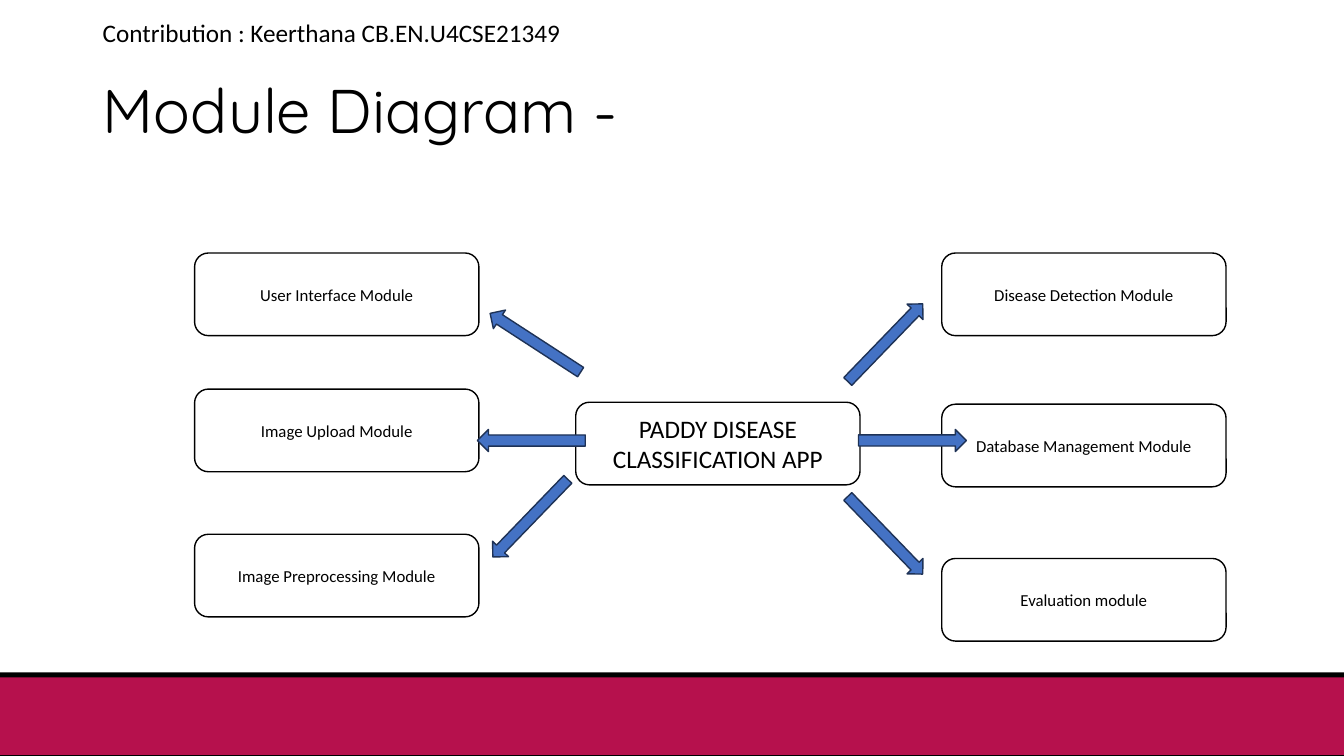
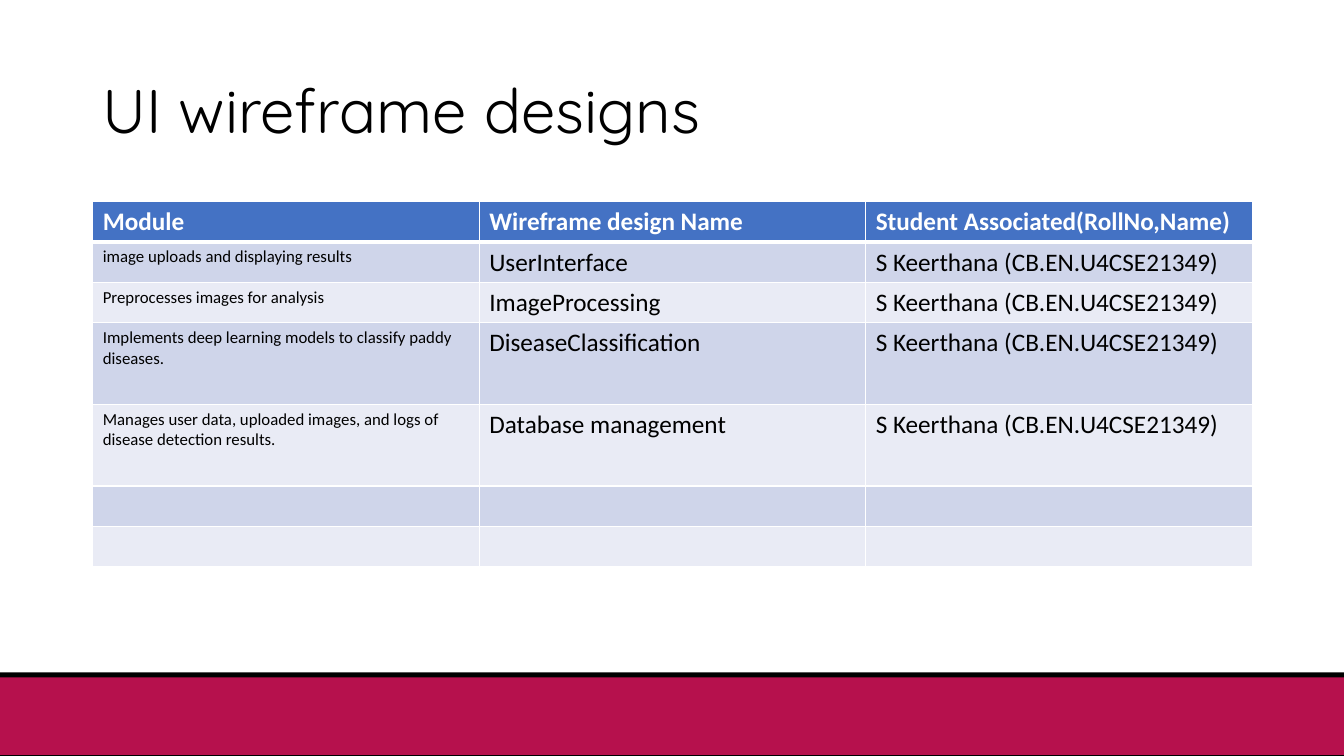
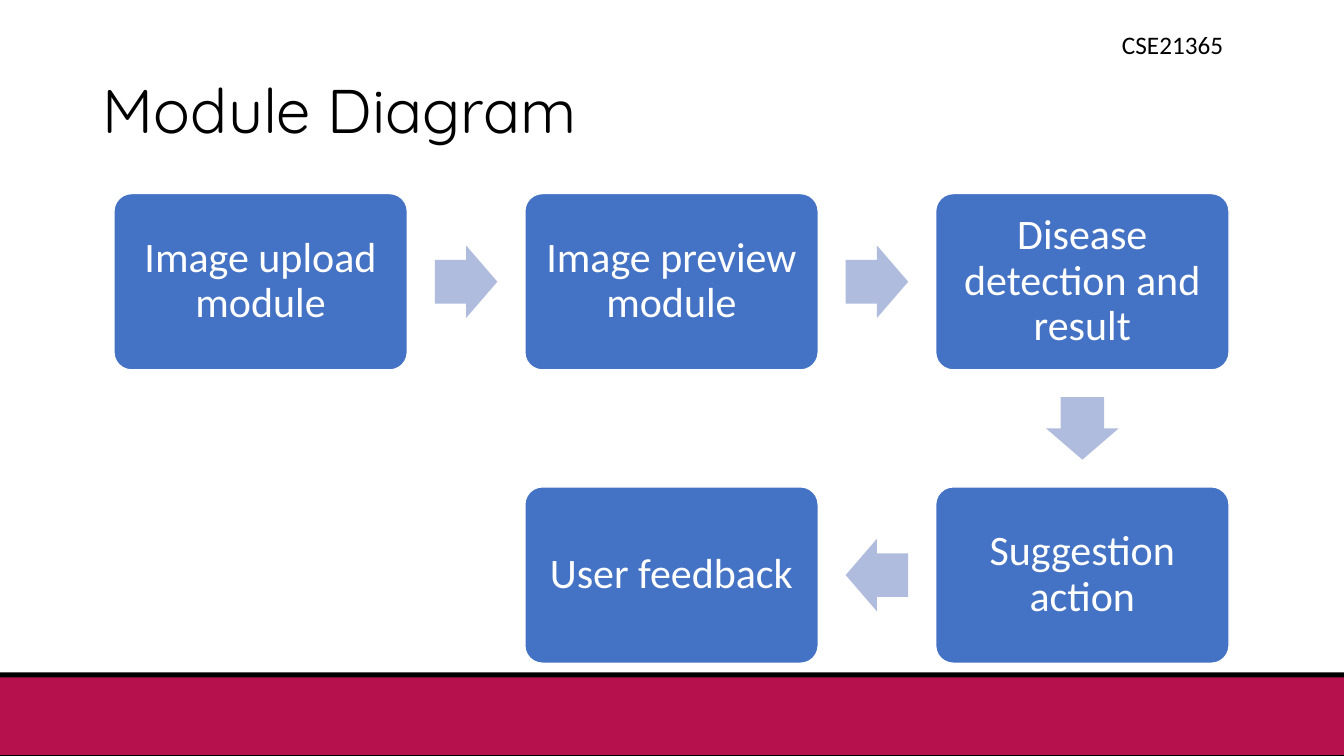
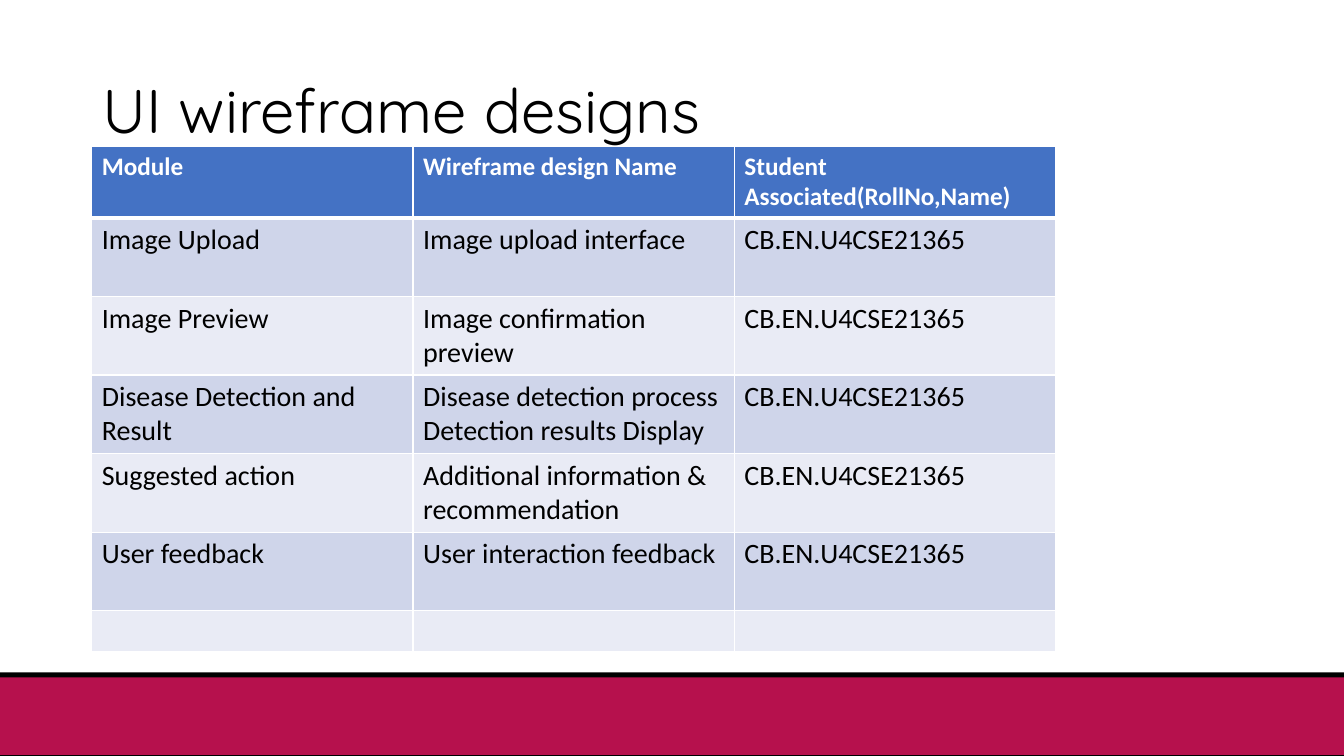
from collections import namedtuple

from lxml import etree
from pptx import Presentation
from pptx import util as u
from pptx.dml import color
from pptx.enum import shapes, text
from pptx.oxml import ns

SLIDE_W, SLIDE_H = 13.33, 7.5
COLORS = {
    "black": "000000", "white": "FFFFFF", "crimson": "B6114D",
    "blue": "4472C4", "navy": "1E3256", "pale_blue": "B0BCDE",
    "odd_row": "CFD5EA", "even_row": "E9EBF5",
}
BODY_FONT, TITLE_FONT = "Calibri", "Quicksand"
SHAPE, ALIGN, ANCHOR = shapes.MSO_SHAPE, text.PP_ALIGN, text.MSO_ANCHOR

Box = namedtuple("Box", "left top width height")
TITLE_BOX = Box(0.92, 0.4, 11.5, 1.45)


def rgb(name):
    return color.RGBColor.from_string(COLORS[name])


def emu(box):
    return [u.Inches(length) for length in box]


def centred(x, y, width, height):
    return Box(x - width / 2, y - height / 2, width, height)


def write(frame, words, size, ink="black", font=BODY_FONT, bold=False,
          align=ALIGN.LEFT, spacing=None):
    frame.text = words
    for paragraph in frame.paragraphs:
        paragraph.alignment = align
        if spacing:
            paragraph.line_spacing = spacing
        for run in paragraph.runs:
            run.font.size = u.Pt(size)
            run.font.name = font
            run.font.bold = bold
            run.font.color.rgb = rgb(ink)


def add_shape(slide, kind, box, fill, line=None):
    shape = slide.shapes.add_shape(kind, *emu(box))
    shape.shadow.inherit = False
    shape.fill.solid()
    shape.fill.fore_color.rgb = rgb(fill)
    if line:
        shape.line.color.rgb = rgb(line)
        shape.line.width = u.Pt(1)
    else:
        shape.line.fill.background()
    return shape


def add_text(slide, box, words, size, anchor=ANCHOR.TOP, **style):
    frame = slide.shapes.add_textbox(*emu(box)).text_frame
    frame.word_wrap = True
    frame.vertical_anchor = anchor
    write(frame, words, size, **style)


def add_page(deck, title):
    """Slide with the footer bands and the title."""
    slide = deck.slides.add_slide(deck.slide_layouts[6])
    for top, height, fill in ((6.67, 0.83, "black"), (6.72, 0.77, "crimson")):
        add_shape(slide, SHAPE.RECTANGLE, Box(0, top, SLIDE_W, height), fill)
    add_text(slide, TITLE_BOX, title, 44, ANCHOR.MIDDLE,
             font=TITLE_FONT, spacing=0.9)
    return slide


def add_module_map(slide, box, hub, left_modules, right_modules, arrows):
    """Hub with a column of modules on each side; arrows lie round the hub."""
    width, height = 2.82, 0.82
    hub_box = Box(box.left + 3.78, box.top + 1.48, width, height)
    right = box.left + box.width - width
    cards = [(hub, hub_box, 18)]
    for left, modules in ((box.left, left_modules), (right, right_modules)):
        cards += [(name, Box(left, box.top + drop, width, height), 12)
                  for name, drop in modules]
    for name, card_box, size in cards:
        card = add_shape(slide, SHAPE.ROUNDED_RECTANGLE, card_box, "white", "black")
        write(card.text_frame, name, size, align=ALIGN.CENTER)

    hub_x, hub_y = hub_box.left + width / 2, hub_box.top + height / 2
    for across, down, angle in arrows:
        arrow = add_shape(slide, SHAPE.UP_ARROW,
                          centred(hub_x + across, hub_y + down, 0.22, 1.07),
                          "blue", "navy")
        arrow.rotation = angle


def add_flow(slide, box, steps):
    """Steps on a grid of 3 columns and 2 rows, joined by block arrows."""
    width, height = 2.91, 1.75
    column_pitch = (box.width - width) / 2
    row_pitch = box.height - height
    centres = []
    for name, column, row in steps:
        x = box.left + width / 2 + column * column_pitch
        y = box.top + height / 2 + row * row_pitch
        centres.append((x, y))
        step = add_shape(slide, SHAPE.ROUNDED_RECTANGLE,
                         centred(x, y, width, height), "blue", "white")
        step.adjustments[0] = 0.1
        frame = step.text_frame
        frame.margin_left = frame.margin_right = u.Inches(0.12)
        frame.margin_top = frame.margin_bottom = u.Inches(0.12)
        write(frame, name, 30, "white", align=ALIGN.CENTER, spacing=0.9)

    for (x1, y1), (x2, y2) in zip(centres, centres[1:]):
        arrow = add_shape(slide, SHAPE.RIGHT_ARROW,
                          centred((x1 + x2) / 2, (y1 + y2) / 2, 0.62, 0.72),
                          "pale_blue")
        arrow.adjustments[0] = 0.6
        arrow.rotation = 90 if y2 > y1 else 180 if x2 < x1 else 0


def set_borders(cell, top, bottom):
    properties = cell._tc.get_or_add_tcPr()
    sides = (("L", 1), ("R", 1), ("T", top), ("B", bottom))
    for index, (side, points) in enumerate(sides):
        line = etree.Element(ns.qn("a:ln" + side), w=str(u.Pt(points)))
        fill = etree.SubElement(line, ns.qn("a:solidFill"))
        etree.SubElement(fill, ns.qn("a:srgbClr"), val=COLORS["white"])
        properties.insert(index, line)


def add_design_table(slide, box, rows, row_heights, sizes):
    """Header plus banded rows; sizes holds one text size per column."""
    rows = [("Module", "Wireframe design Name",
             "Student Associated(RollNo,Name)")] + rows
    table = slide.shapes.add_table(len(rows), len(sizes), *emu(box)).table
    for column in table.columns:
        column.width = u.Inches(box.width / len(sizes))
    for r, (row, height) in enumerate(zip(rows, row_heights)):
        table.rows[r].height = u.Inches(height)
        header = r == 0
        band = "blue" if header else "odd_row" if r % 2 else "even_row"
        for c, words in enumerate(row):
            cell = table.cell(r, c)
            cell.fill.solid()
            cell.fill.fore_color.rgb = rgb(band)
            set_borders(cell, top=3 if r == 1 else 1, bottom=3 if header else 1)
            if words:
                write(cell.text_frame, words, 18 if header else sizes[c],
                      "white" if header else "black", bold=header)


def main():
    deck = Presentation()
    deck.slide_width, deck.slide_height = u.Inches(SLIDE_W), u.Inches(SLIDE_H)
    empty_row = ("", "", "")

    # Module map
    slide = add_page(deck, "Module Diagram -")
    add_module_map(
        slide, Box(1.93, 2.51, 10.23, 3.85), "PADDY DISEASE CLASSIFICATION APP",
        [("User Interface Module", 0), ("Image Upload Module", 1.35),
         ("Image Preprocessing Module", 2.79)],
        [("Disease Detection Module", 0), ("Database Management Module", 1.5),
         ("Evaluation module", 3.03)],
        [(1.66, -1, 44), (1.93, -0.03, 90), (1.66, 0.91, 136),
         (-1.86, 0.74, 224), (-1.85, -0.03, 270), (-1.81, -1, 303)])
    add_text(slide, Box(0.92, 0.12, 4.91, 0.4),
             "Contribution : Keerthana CB.EN.U4CSE21349", 18)

    # Wireframes of the first student
    slide = add_page(deck, "UI wireframe designs")
    student = "S Keerthana (CB.EN.U4CSE21349)"
    designs = [
        ("image uploads and displaying results", "UserInterface", student),
        ("Preprocesses images for analysis", "ImageProcessing", student),
        ("Implements deep learning models to classify paddy diseases.",
         "DiseaseClassification", student),
        ("Manages user data, uploaded images, and logs of disease detection results.",
         "Database management", student),
        empty_row, empty_row]
    line = 0.4
    add_design_table(slide, Box(0.92, 2, 11.5, 3.63), designs,
                     [line, line, line, 0.81, 0.81, line, line], (12, 18, 18))

    # Process flow
    slide = add_page(deck, "Module Diagram")
    add_flow(slide, Box(1.13, 1.92, 11.06, 4.66), [
        ("Image upload module", 0, 0), ("Image preview module", 1, 0),
        ("Disease detection and result", 2, 0),
        ("Suggestion action", 2, 1), ("User feedback", 1, 1)])
    add_text(slide, Box(11.03, 0.24, 1.83, 0.4), "CSE21365", 18)

    # Wireframes of the second student
    slide = add_page(deck, "UI wireframe designs")
    student = "CB.EN.U4CSE21365"
    designs = [
        ("Image Upload", "Image upload interface", student),
        ("Image Preview", "Image confirmation preview", student),
        ("Disease Detection and Result",
         "Disease detection process\nDetection results Display", student),
        ("Suggested action", "Additional information & recommendation", student),
        ("User feedback", "User interaction feedback", student),
        empty_row]
    add_design_table(slide, Box(0.91, 1.45, 9.56, 4.95), designs,
                     [0.71] + [0.78] * 5 + [line], (20, 20, 20))

    deck.save("out.pptx")


if __name__ == "__main__":
    main()
